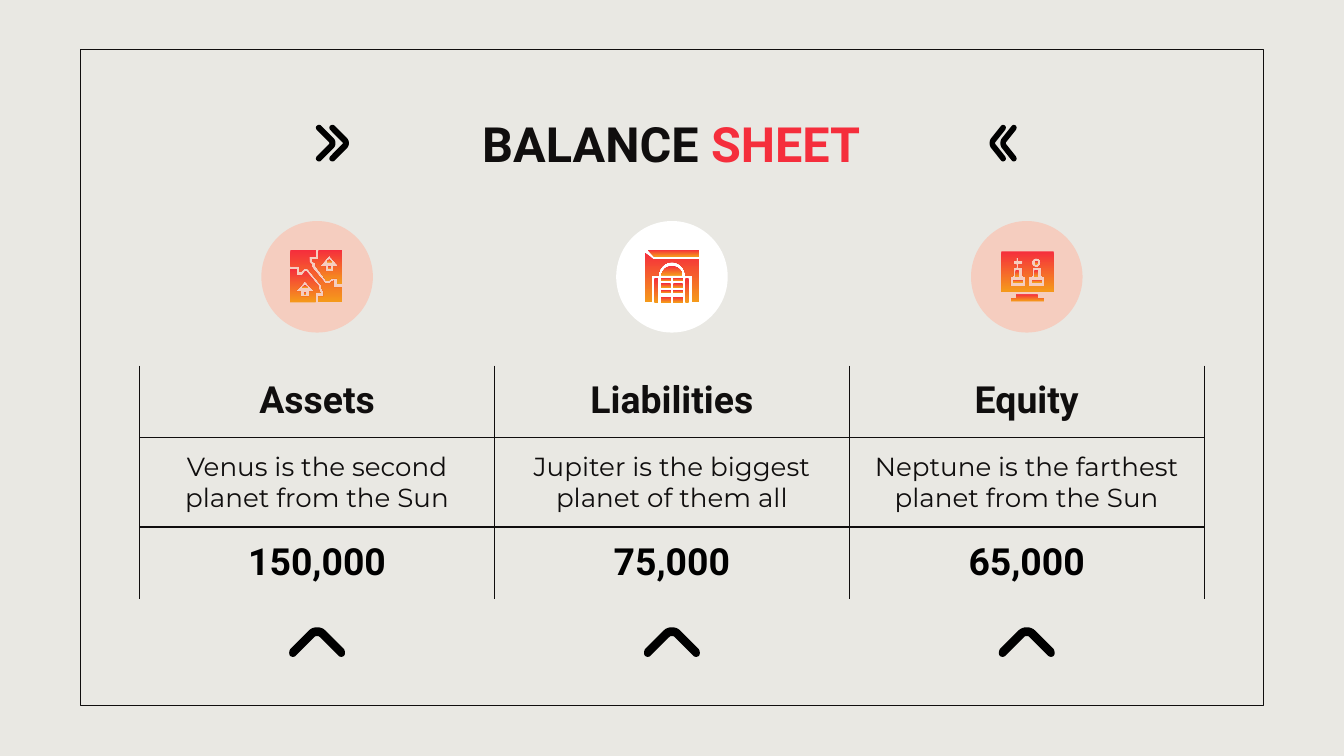
import pptx
import pptx.dml.color
import pptx.enum.shapes
import pptx.enum.text
import pptx.oxml
import pptx.oxml.ns
import pptx.util

GRID = pptx.util.Inches(0.1)  # the slide is 100 columns wide
UNIT = pptx.util.Inches(0.01)  # outlines are drawn in finer units
TABLE_LEFT, TABLE_TOP, COLUMN, ROW = 10.4, 27.2, 26.4, 4.2
ICON_ROW, CARET_ROW, CHEVRON_ROW = 20.6, 47.7, 10.65
INK, RED, ORANGE, BLACK = "100E0E", "F52E3C", "F59A1B", "000000"
HEADING = {"name": "Roboto", "size": pptx.util.Pt(20), "bold": True}
BODY = {"name": "Montserrat", "size": pptx.util.Pt(14), "bold": False}
TITLE = HEADING | {"size": pptx.util.Pt(26)}

ROWS = [
    (HEADING, INK, ["Assets", "Liabilities", "Equity"]),
    (BODY, INK, ["Venus is the second planet from the Sun",
                 "Jupiter is the biggest planet of them all",
                 "Neptune is the farthest planet from the Sun"]),
    (HEADING, BLACK, ["150,000", "75,000", "65,000"]),
]

# An outline is a list of points; a six-number entry is a Bezier curve.
CARET = [(20, 6), (6, -8), (3, -11, -3, -11, -6, -8), (-20, 6),
         (-21, 8, -21, 10, -20, 11), (-19, 12, -17, 12, -16, 11), (-2, -3),
         (-1, -4, 1, -4, 2, -3), (16, 11), (17, 12, 19, 12, 20, 11),
         (21, 10, 21, 8, 20, 6)]
CHEVRON = [(1, 12.5), (0, 12, 0, 11.5, 0.5, 10.5), (9.5, 1.5),
           (10.5, 0.5, 10.5, -0.5, 9.5, -1.5), (0.5, -10.5),
           (0, -11.5, 0, -12, 1, -12.5), (2, -12.5), (11.5, -3),
           (13, -1.5, 13, 1.5, 11.5, 3), (2, 12.5)]


def color(hex_text):
    return pptx.dml.color.RGBColor.from_string(hex_text)


def cells(*lengths):
    """Turn grid columns and rows into slide lengths."""
    return [round(length * GRID) for length in lengths]


def column_centre(index):
    return TABLE_LEFT + COLUMN * (index + 0.5)


def rectangle(left, top, width, height):
    right, bottom = left + width, top + height
    return [(left, top), (right, top), (right, bottom), (left, bottom)]


def circle(x, y, radius):
    k = radius * 0.55
    return [(x, y - radius),
            (x + k, y - radius, x + radius, y - k, x + radius, y),
            (x + radius, y + k, x + k, y + radius, x, y + radius),
            (x - k, y + radius, x - radius, y + k, x - radius, y),
            (x - radius, y - k, x - k, y - radius, x, y - radius)]


def shifted(outline, across, down=0):
    return [tuple(value + (down if i % 2 else across) for i, value in enumerate(entry))
            for entry in outline]


def flatten(outline, steps=8):
    """Replace the curves of an outline by short straight steps."""
    points = []
    for entry in outline:
        if len(entry) == 2:
            points.append(entry)
            continue
        corners = [points[-1], entry[:2], entry[2:4], entry[4:]]
        for step in range(1, steps + 1):
            t = step / steps
            weights = [(1 - t) ** 3, 3 * t * (1 - t) ** 2, 3 * t * t * (1 - t), t ** 3]
            points.append(tuple(sum(w * corner[axis] for w, corner in zip(weights, corners))
                                for axis in (0, 1)))
    return points


def land_icon():
    roof = [(9, -13), (7, -11), (11, -11)]
    door = rectangle(8, -8, 2, 2)
    house = [(9, -16), (16, -8), (12, -8), (12, -4), (6, -4), (6, -8), (2, -8)]
    upper = [(1, -20), (1, -13), (-4, -13), (-4, -12), (-1, -10), (-1, -8), (7, 3), (8, 3),
             (11, 1), (15, 1), (15, 5), (19, 5), (19, -20)]
    lower = [(-20, -6), (-20, 19), (-1, 19), (-1, 12), (3, 12), (1, 9), (1, 7), (-8, -4),
             (-9, -4), (-11, -1), (-15, -1), (-15, -6)]
    middle = [(-20, -20), (-20, -8), (-13, -8), (-13, -4), (-12, -4), (-10, -6), (-7, -6),
              (3, 6), (3, 8), (5, 11), (5, 15), (1, 15), (1, 19), (19, 19), (19, 8), (12, 8),
              (12, 3), (9, 5), (6, 5), (-4, -7), (-4, -9), (-6, -11), (-6, -15), (-1, -15),
              (-1, -20)]
    low = (-18, 19)
    return [[roof], [door], [shifted(roof, *low)], [shifted(door, *low)],
            [house, upper], [middle], [shifted(house, *low), lower]]


def building_icon():
    panes = [[rectangle(left, top, 7, height)] for left in (-8, 1)
             for top, height in ((1, 2), (5, 3), (10, 2), (15, 4))]
    pillars = [[rectangle(left, 1, 2.5, 18)] for left in (-13, 10)]
    roof = [(-18, -20), (-13, -15), (20, -15), (20, -20)]
    wall = [(-20, -18), (-20, 19), (-15, 19), (-15, -1), (-10, -1), (-10, -7, -5, -11, 0, -11),
            (5, -11, 10, -7, 10, -1), (15, -1), (15, 19), (20, 19), (20, -13), (-14, -13)]
    fanlight = [(0, -8), (-4, -8, -7, -5, -8, -1), (8, -1), (7, -5, 4, -8, 0, -8)]
    return panes + pillars + [[roof], [wall], [fanlight]]


def screen_icon():
    base = rectangle(-10, 2, 7, 2)
    stem = [(-8, -5), (-6, -5), (-5.5, 0), (-8.5, 0)]
    body = [(-3, -7), (-3, -1), (-2, 0), (-1, 0), (-1, 7), (-12.5, 7), (-12.5, 0), (-11, 0),
            (-10, -1), (-10, -7)]
    cross = [(-8, -7), (-8, -9), (-10, -9), (-10, -12), (-8, -12), (-8, -14), (-6, -14),
             (-6, -12), (-3, -12), (-3, -9), (-6, -9), (-6, -7)]
    stand = [(-8, 13), (-8, 16), (-12, 16), (-12, 18), (13, 18), (13, 16), (8, 16), (8, 13)]
    screen = [body + cross, shifted(body, 14), circle(7, -10.5, 3.5),
              rectangle(-19, -19, 39, 30)]
    pieces = [[shifted(part, across)] for part in (base, stem) for across in (0, 14)]
    return [[circle(7, -10.5, 1.2)]] + pieces + [screen, [stand]]


def add_outline(shapes, outlines, column, row, stretch=1):
    """Draw closed outlines as one shape around a grid point."""
    left, top = cells(column, row)
    builder = None
    for outline in outlines:
        points = [(round(left + x * stretch * UNIT), round(top + y * UNIT))
                  for x, y in flatten(outline)]
        if builder is None:
            builder = shapes.build_freeform(*points[0])
        else:
            builder.move_to(*points[0])
        builder.add_line_segments(points[1:], close=True)
    shape = builder.convert_to_shape()
    shape.shadow.inherit = False
    paint(shape, BLACK)
    return shape


def paint(shape, fill=None, line=None, width=0.75):
    if fill:
        shape.fill.solid()
        shape.fill.fore_color.rgb = color(fill)
    else:
        shape.fill.background()
    if line:
        shape.line.color.rgb = color(line)
        shape.line.width = pptx.util.Pt(width)
    else:
        shape.line.fill.background()


def add_preset(slide, kind, place, **colors):
    shape = slide.shapes.add_shape(kind, *cells(*place))
    shape.shadow.inherit = False
    paint(shape, **colors)


def add_icon(slide, parts, column):
    group = slide.shapes.add_group_shape()
    for outlines in parts:
        shape = add_outline(group.shapes, outlines, column, ICON_ROW)
        shape.fill.gradient()
        shape.fill.gradient_angle = 270
        for stop, tint in zip(shape.fill.gradient_stops, (RED, ORANGE)):
            stop.color.rgb = color(tint)


def add_chevrons(slide, ends, stretch):
    group = slide.shapes.add_group_shape()
    for end in ends:
        shape = add_outline(group.shapes, [CHEVRON], end, CHEVRON_ROW, stretch)
        paint(shape, INK, BLACK, 1.5)


def write(frame, spans, formats):
    for side in ("left", "right", "top", "bottom"):
        setattr(frame, f"margin_{side}", GRID)
    para = frame.paragraphs[0] if hasattr(frame, "paragraphs") else frame.text_frame.paragraphs[0]
    para.alignment = pptx.enum.text.PP_ALIGN.CENTER
    for text, tint in spans:
        span = para.add_run()
        span.text = text
        for name, value in formats.items():
            setattr(span.font, name, value)
        span.font.color.rgb = color(tint)


def add_title(slide):
    frame = slide.shapes.add_textbox(*cells(23.5, 7.5, 52.9, 6.3)).text_frame
    frame.word_wrap = True
    frame.vertical_anchor = pptx.enum.text.MSO_ANCHOR.MIDDLE
    write(frame, [("BALANCE ", INK), ("SHEET", RED)], TITLE)


def set_borders(cell, hidden):
    """Rule the four sides of a cell, except the hidden one."""
    properties = cell._tc.get_or_add_tcPr()
    for side in "LRTB":
        fill = ("<a:noFill/>" if side == hidden
                else f'<a:solidFill><a:srgbClr val="{INK}"/></a:solidFill>')
        properties.append(pptx.oxml.parse_xml(
            f'<a:ln{side} {pptx.oxml.ns.nsdecls("a")} w="{pptx.util.Pt(0.75)}">{fill}</a:ln{side}>'))


def add_balance_table(slide):
    place = cells(TABLE_LEFT, TABLE_TOP, COLUMN * 3, ROW * len(ROWS))
    table = slide.shapes.add_table(len(ROWS), 3, *place).table
    table.first_row = table.horz_banding = False
    for r, (formats, tint, texts) in enumerate(ROWS):
        for c, text in enumerate(texts):
            cell = table.cell(r, c)
            write(cell, [(text, tint)], formats)
            set_borders(cell, hidden={0: "T", len(ROWS) - 1: "B"}.get(r))
            cell.fill.background()


def main():
    deck = pptx.Presentation()
    deck.slide_width, deck.slide_height = cells(100, 56.25)
    slide = deck.slides.add_slide(deck.slide_layouts[6])
    slide.background.fill.solid()
    slide.background.fill.fore_color.rgb = color("E9E8E3")

    kinds = pptx.enum.shapes.MSO_SHAPE
    add_preset(slide, kinds.RECTANGLE, (6, 3.7, 88, 48.8), line=INK)
    add_title(slide)
    add_chevrons(slide, (24.6, 23.6), 1)
    add_chevrons(slide, (74.75, 75.55), -0.8)
    add_balance_table(slide)
    icons = [(land_icon(), "F5CDBF"), (building_icon(), "FFFFFF"), (screen_icon(), "F5CDBF")]
    for index, (parts, tint) in enumerate(icons):
        centre = column_centre(index)
        disc = (centre - 4.15, ICON_ROW - 4.15, 8.3, 8.3)
        add_preset(slide, kinds.OVAL, disc, fill=tint)
        add_icon(slide, parts, centre)
        add_outline(slide.shapes, [CARET], centre, CARET_ROW)
    deck.save("out.pptx")


if __name__ == "__main__":
    main()
